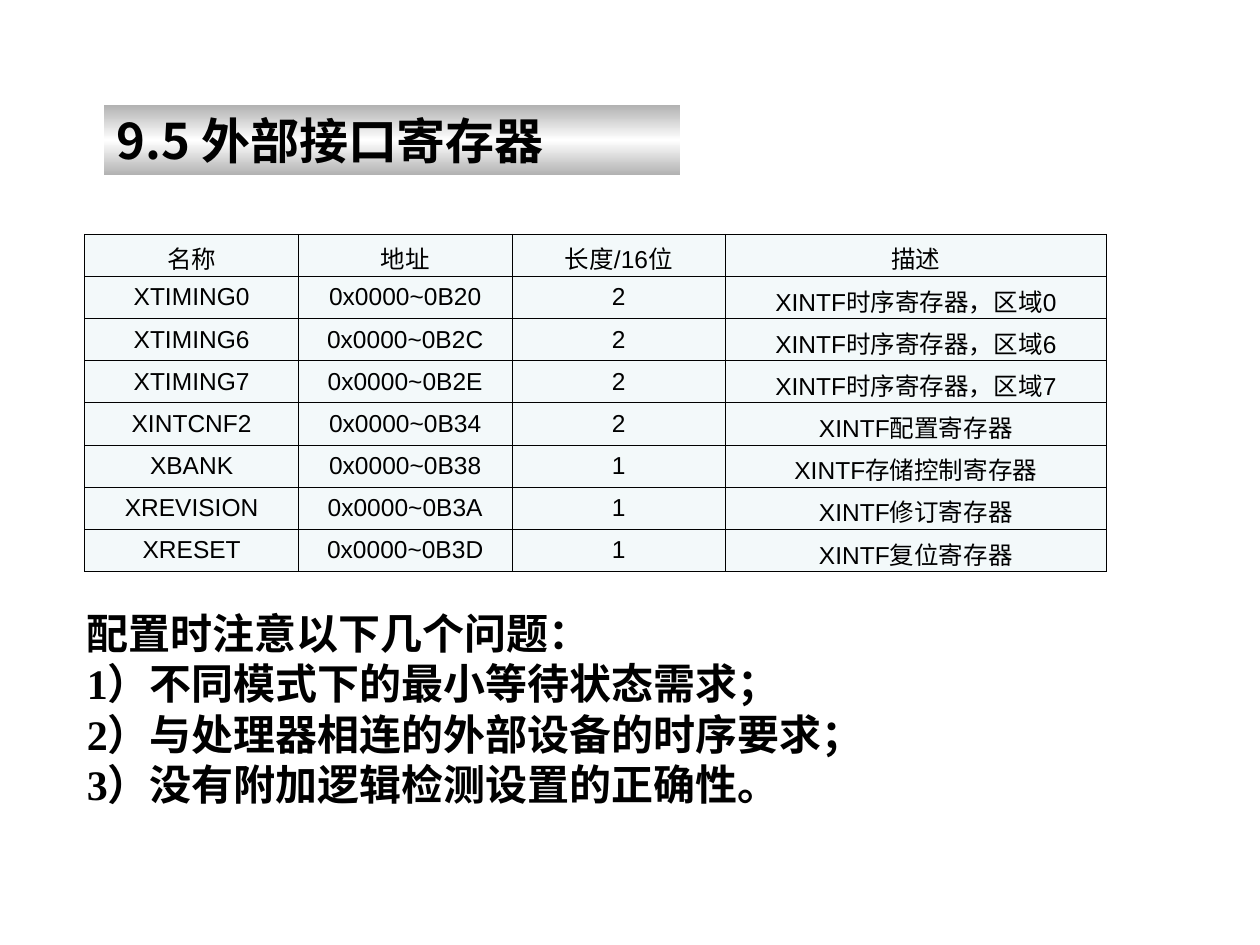
from typing import NamedTuple

from lxml.etree import SubElement
from pptx import Presentation
from pptx.dml.color import RGBColor
from pptx.enum.shapes import MSO_SHAPE as Preset
from pptx.enum.text import MSO_ANCHOR as Anchor, MSO_AUTO_SIZE as AutoSize, PP_ALIGN as Align
from pptx.oxml.ns import qn
from pptx.slide import Slide
from pptx.table import _Cell as Cell
from pptx.util import Cm, Pt

BLACK = RGBColor(0x00, 0x00, 0x00)
WHITE = RGBColor(0xFF, 0xFF, 0xFF)
SILVER = RGBColor(0xB2, 0xB2, 0xB2)
PALE_BLUE = RGBColor(0xF3, 0xF9, 0xFA)


class Register(NamedTuple):
    name: str
    address: str
    length: str
    description: str


HEADER = Register("名称", "地址", "长度/16位", "描述")
REGISTERS = [
    Register("XTIMING0", "0x0000~0B20", "2", "XINTF时序寄存器，区域0"),
    Register("XTIMING6", "0x0000~0B2C", "2", "XINTF时序寄存器，区域6"),
    Register("XTIMING7", "0x0000~0B2E", "2", "XINTF时序寄存器，区域7"),
    Register("XINTCNF2", "0x0000~0B34", "2", "XINTF配置寄存器"),
    Register("XBANK", "0x0000~0B38", "1", "XINTF存储控制寄存器"),
    Register("XREVISION", "0x0000~0B3A", "1", "XINTF修订寄存器"),
    Register("XRESET", "0x0000~0B3D", "1", "XINTF复位寄存器"),
]
COLUMN_WIDTHS = [Cm(4.31), Cm(4.3), Cm(4.31), Cm(7.67)]
ROW_HEIGHT = Cm(0.85)
CELL_MARGIN = Cm(0.12)
NOTES = [
    "配置时注意以下几个问题：",
    "1）不同模式下的最小等待状态需求；",
    "2）与处理器相连的外部设备的时序要求；",
    "3）没有附加逻辑检测设置的正确性。",
]


def add_color(parent, color: RGBColor) -> None:
    SubElement(parent, qn("a:srgbClr"), val=str(color))


def add_title(slide: Slide) -> None:
    shape = slide.shapes.add_shape(Preset.RECTANGLE, Cm(2.1), Cm(2.12), Cm(11.61), Cm(1.41))
    shape.shadow.inherit = False
    shape.line.fill.background()
    shape.fill.gradient()
    shape.fill.gradient_angle = 270
    stops = shape.fill._fill._gradFill.find(qn("a:gsLst"))
    for stop in list(stops):
        stops.remove(stop)
    for percent, color in ((0, SILVER), (50, WHITE), (100, SILVER)):
        add_color(SubElement(stops, qn("a:gs"), pos=str(percent * 1000)), color)

    shape.text_frame.vertical_anchor = Anchor.MIDDLE
    paragraph = shape.text_frame.paragraphs[0]
    paragraph.alignment = Align.LEFT
    paragraph.font.size = Pt(28)
    paragraph.font.bold = True
    paragraph.font.color.rgb = BLACK
    for text, font_name in (("9.5 ", "Noto Sans CJK SC"), ("外部接口寄存器", "Arial")):
        run = paragraph.add_run()
        run.text = text
        run.font.name = font_name


def add_borders(cell: Cell) -> None:
    properties = cell._tc.get_or_add_tcPr()
    for position, side in enumerate(("a:lnL", "a:lnR", "a:lnT", "a:lnB")):
        border = SubElement(properties, qn(side), w=str(Pt(0.45)))
        add_color(SubElement(border, qn("a:solidFill")), BLACK)
        properties.insert(position, border)


def fill_cell(cell: Cell, text: str) -> None:
    cell.text = text
    cell.vertical_anchor = Anchor.MIDDLE
    cell.margin_left = cell.margin_right = Cm(0.2)
    cell.margin_top = CELL_MARGIN
    cell.margin_bottom = CELL_MARGIN if text.isascii() else Cm(0)
    cell.fill.solid()
    cell.fill.fore_color.rgb = PALE_BLUE
    add_borders(cell)
    paragraph = cell.text_frame.paragraphs[0]
    paragraph.alignment = Align.CENTER
    paragraph.font.size = Pt(14)
    paragraph.font.name = "Arial"
    paragraph.font.color.rgb = BLACK


def add_register_table(slide: Slide) -> None:
    rows = [HEADER, *REGISTERS]
    table = slide.shapes.add_table(
        len(rows), len(COLUMN_WIDTHS), Cm(1.71), Cm(4.72),
        sum(COLUMN_WIDTHS), ROW_HEIGHT * len(rows),
    ).table
    table.first_row = table.horz_banding = False
    for column, width in zip(table.columns, COLUMN_WIDTHS):
        column.width = width
    for row, register in zip(table.rows, rows):
        row.height = ROW_HEIGHT
        for cell, text in zip(row.cells, register):
            fill_cell(cell, text)


def add_notes(slide: Slide) -> None:
    frame = slide.shapes.add_textbox(Cm(1.5), Cm(12.12), Cm(23.39), Cm(4.32)).text_frame
    frame.word_wrap = True
    frame.auto_size = AutoSize.SHAPE_TO_FIT_TEXT
    frame.text = "\n".join(NOTES)
    for paragraph in frame.paragraphs:
        paragraph.font.size = Pt(24)
        paragraph.font.name = "Times New Roman"
        paragraph.font.bold = True
        paragraph.font.color.rgb = BLACK


def main() -> None:
    presentation = Presentation()
    presentation.slide_width = Cm(25.4)
    presentation.slide_height = Cm(19.05)
    slide = presentation.slides.add_slide(presentation.slide_layouts[6])
    add_title(slide)
    add_register_table(slide)
    add_notes(slide)
    presentation.save("out.pptx")


if __name__ == "__main__":
    main()
